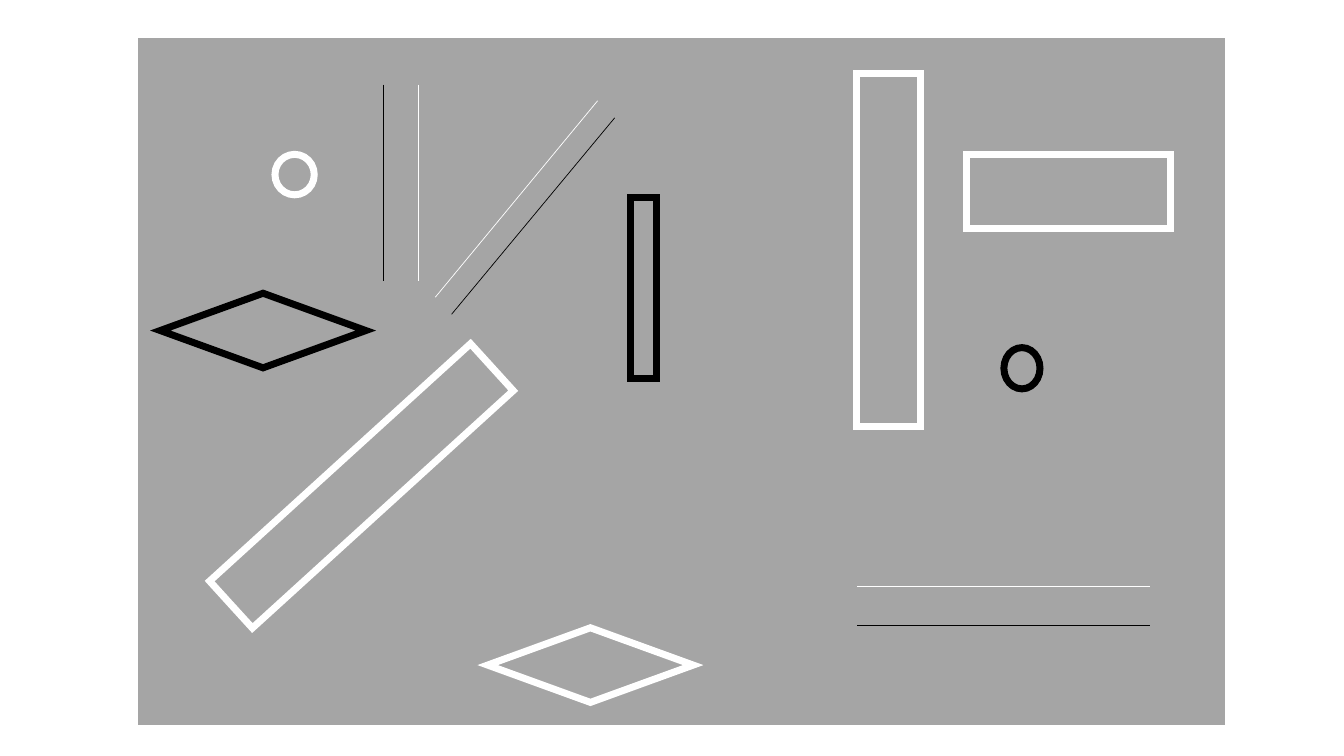
from pptx import Presentation
from pptx.dml.color import RGBColor
from pptx.enum.shapes import MSO_CONNECTOR, MSO_SHAPE
from pptx.oxml.ns import qn
from pptx.util import Cm, Pt
from lxml.etree import SubElement

WHITE, BLACK, GRAY = "FFFFFF", "000000", "A5A5A5"
RECTANGLE, DIAMOND, OVAL = MSO_SHAPE.RECTANGLE, MSO_SHAPE.DIAMOND, MSO_SHAPE.OVAL

OUTLINES = [
    (RECTANGLE, WHITE, (24.36, 3.89, 5.13, 1.88), 0),
    (RECTANGLE, WHITE, (21.59, 1.85, 1.6, 8.89), 0),
    (RECTANGLE, WHITE, (8.31, 7.8, 1.6, 8.89), 47.7),
    (DIAMOND, WHITE, (12.29, 15.82, 5.18, 1.88), 0),
    (OVAL, WHITE, (6.93, 3.89, 0.99, 1.02), 0),
    (OVAL, BLACK, (25.3, 8.76, 0.91, 1.04), 0),
    (RECTANGLE, BLACK, (15.88, 4.98, 0.66, 4.55), 0),
    (DIAMOND, BLACK, (4.04, 7.39, 5.18, 1.88), 0),
]

LINES = [
    (WHITE, (10.54, 2.13, 10.54, 7.07)),
    (WHITE, (15.06, 2.54, 10.97, 7.49)),
    (WHITE, (28.98, 14.78, 21.59, 14.78)),
    (BLACK, (9.65, 2.13, 9.65, 7.09)),
    (BLACK, (15.49, 2.97, 11.38, 7.92)),
    (BLACK, (28.98, 15.75, 21.59, 15.75)),
]


def color(code):
    return RGBColor.from_string(code)


class Drawing:
    """Draws outlined shapes and thin lines into one group on the page."""

    thick, thin = Pt(5), Pt(0.5)

    def __init__(self, page):
        self.group = page.shapes.add_group_shape()

    def shape(self, kind, stroke, place, rotation=0, fill=None):
        box = self.group.shapes.add_shape(kind, *map(Cm, place))
        box.rotation = rotation
        box.shadow.inherit = False
        if fill:
            box.fill.solid()
            box.fill.fore_color.rgb = color(fill)
        else:
            box.fill.background()
        box.line.color.rgb = color(stroke)
        box.line.width = self.thick
        outline = box.element.spPr.find(qn("a:ln"))
        SubElement(outline, qn("a:miter"), lim="800000")

    def line(self, stroke, ends):
        connector = self.group.shapes.add_connector(
            MSO_CONNECTOR.STRAIGHT, *map(Cm, ends))
        connector.line.color.rgb = color(stroke)
        connector.line.width = self.thin
        SubElement(connector.element.spPr, qn("a:effectLst"))


def main():
    deck = Presentation()
    deck.slide_width, deck.slide_height = Cm(33.87), Cm(19.05)
    page = deck.slides.add_slide(deck.slide_layouts[6])
    drawing = Drawing(page)
    drawing.shape(RECTANGLE, WHITE, (3.4, 0.86, 27.56, 17.5), fill=GRAY)
    for kind, stroke, place, rotation in OUTLINES:
        drawing.shape(kind, stroke, place, rotation)
    for stroke, ends in LINES:
        drawing.line(stroke, ends)
    deck.save("out.pptx")


if __name__ == "__main__":
    main()
